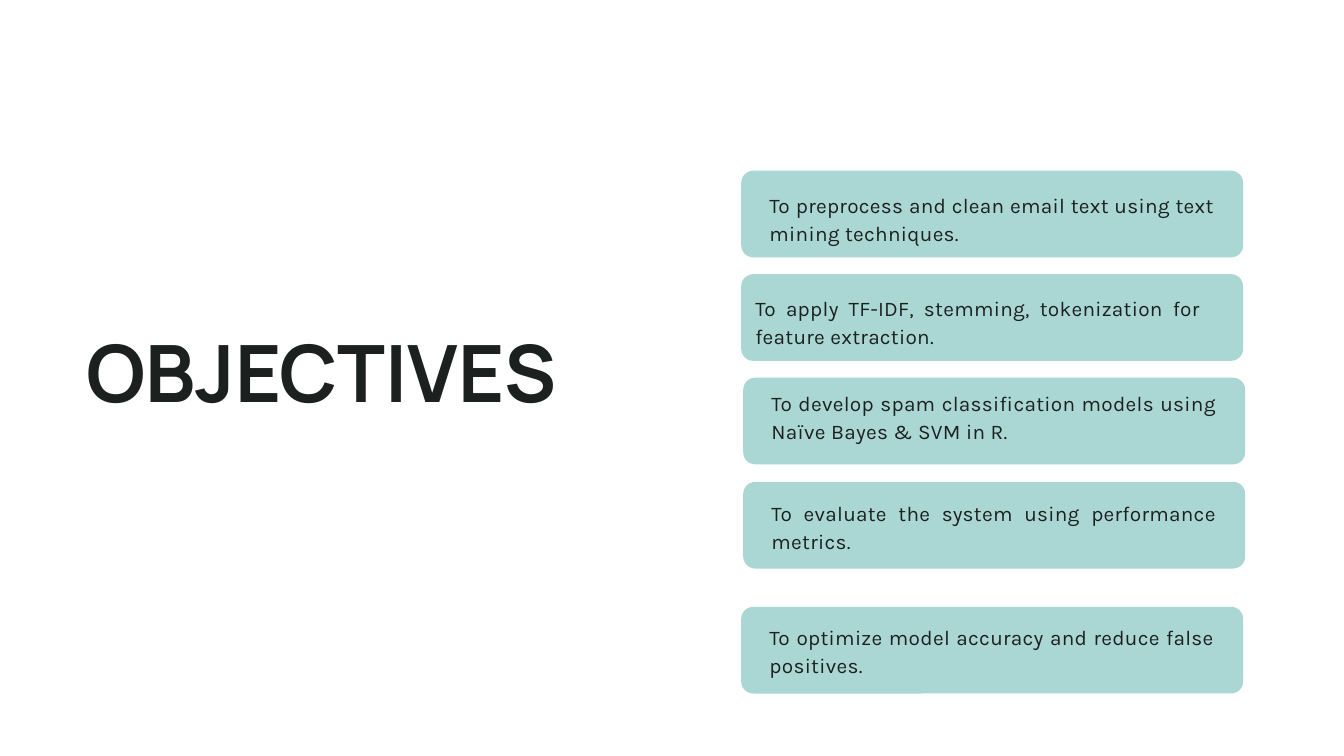
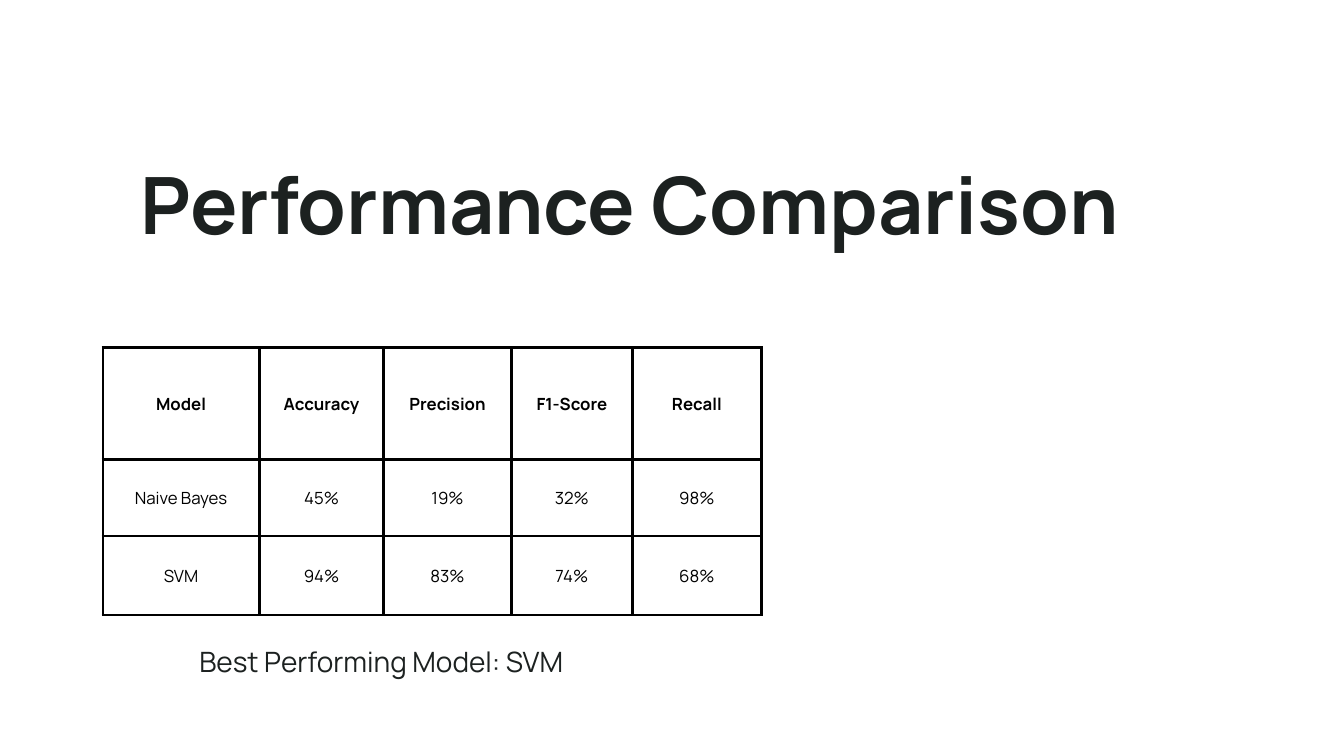
from dataclasses import dataclass

import pptx
import pptx.dml.color
import pptx.enum.shapes
import pptx.enum.text
import pptx.oxml
import pptx.oxml.ns
import pptx.util
from pptx.dml.color import RGBColor
from pptx.util import Inches, Pt

ALIGN = pptx.enum.text.PP_ALIGN
INK = RGBColor(0x1C, 0x21, 0x20)
BLACK = RGBColor(0, 0, 0)
TEAL = RGBColor(0xAA, 0xD7, 0xD4)
WHITE = RGBColor(0xFF, 0xFF, 0xFF)


@dataclass(frozen=True)
class TextStyle:
    """Font, line height and alignment shared by a kind of text."""
    font: str
    size: float
    leading: float
    align: ALIGN = ALIGN.LEFT
    color: RGBColor = INK
    bold: bool = False
    tracking: int = 0


@dataclass(frozen=True)
class Objective:
    """A card and the place of its text."""
    text: str
    left: float
    top: float
    text_left: float
    text_top: float
    text_height: float = 0.83


TITLE = TextStyle("Manrope", 84.7, 96.6, bold=True)
BODY = TextStyle("Karla", 22.3, 30.1, ALIGN.JUSTIFY, tracking=30)
NOTE = TextStyle("Manrope", 30, 34.2, ALIGN.CENTER)
HEADER = TextStyle("Manrope", 18, 25.2, ALIGN.CENTER, BLACK, bold=True)
CELL = TextStyle("Manrope", 18, 25.2, ALIGN.CENTER, BLACK)

CARD_WIDTH, CARD_HEIGHT, CARD_RADIUS = 7.47, 1.29, 0.18
OBJECTIVES = [
    Objective("To preprocess and clean email text using text mining techniques.",
              11.03, 2.54, 11.45, 2.82),
    Objective("To apply TF-IDF, stemming, tokenization for feature extraction.",
              11.03, 4.08, 11.24, 4.36),
    Objective("To develop spam classification models using Naïve Bayes & SVM in R.",
              11.06, 5.62, 11.48, 5.77),
    Objective("To evaluate the system using performance metrics.",
              11.06, 7.17, 11.48, 7.4),
    Objective("To optimize model accuracy and reduce false positives.",
              11.03, 9.03, 11.45, 9.25, 1.24),
]

COLUMN_WIDTHS = [2.33, 1.85, 1.9, 1.8, 1.92]
ROW_HEIGHTS = [1.67, 1.14, 1.17]
SCORES = [
    ["Model", "Accuracy", "Precision", "F1‑Score", "Recall"],
    ["Naive Bayes", "45%", "19%", "32%", "98%"],
    ["SVM", "94%", "83%", "74%", "68%"],
]


def write(tf, text: str, style: TextStyle) -> None:
    """Write one styled paragraph into a text frame."""
    p = tf.paragraphs[0]
    r = p.add_run()
    r.text = text
    p.alignment = style.align
    p.line_spacing = Pt(style.leading)
    p.font.name = style.font
    p.font.size = Pt(style.size)
    p.font.bold = style.bold
    p.font.color.rgb = style.color
    if style.tracking:
        r._r.get_or_add_rPr().set("spc", str(style.tracking))


def add_text(s, text: str, style: TextStyle, left: float, top: float,
             width: float, height: float) -> None:
    """Add a wrapping text box without margins."""
    sp = s.shapes.add_textbox(Inches(left), Inches(top), Inches(width), Inches(height))
    tf = sp.text_frame
    tf.word_wrap = True
    tf.margin_left = tf.margin_top = tf.margin_right = tf.margin_bottom = 0
    write(tf, text, style)


def add_objective(s, item: Objective) -> None:
    """Add a rounded card with its objective."""
    sp = s.shapes.add_shape(
        pptx.enum.shapes.MSO_SHAPE.ROUNDED_RECTANGLE, Inches(item.left),
        Inches(item.top), Inches(CARD_WIDTH), Inches(CARD_HEIGHT))
    sp.adjustments[0] = CARD_RADIUS / CARD_HEIGHT
    sp.shadow.inherit = False
    sp.fill.solid()
    sp.fill.fore_color.rgb = TEAL
    sp.line.fill.background()
    add_text(s, item.text, BODY, item.text_left, item.text_top, 6.62, item.text_height)


def add_borders(cell, color: RGBColor, width: float) -> None:
    """Draw all four borders of a cell."""
    tc_pr = cell._tc.get_or_add_tcPr()
    for i, side in enumerate("LRTB"):
        tc_pr.insert(i, pptx.oxml.parse_xml(
            f'<a:ln{side} {pptx.oxml.ns.nsdecls("a")} w="{Pt(width)}">'
            f'<a:solidFill><a:srgbClr val="{color}"/></a:solidFill></a:ln{side}>'))


def add_scores(s, left: float, top: float) -> None:
    """Add the table of model scores."""
    table = s.shapes.add_table(
        len(SCORES), len(COLUMN_WIDTHS), Inches(left), Inches(top),
        Inches(sum(COLUMN_WIDTHS)), Inches(sum(ROW_HEIGHTS))).table
    table.first_row = table.horz_banding = False
    for column, width in zip(table.columns, COLUMN_WIDTHS):
        column.width = Inches(width)
    for i, (row, height) in enumerate(zip(table.rows, ROW_HEIGHTS)):
        row.height = Inches(height)
        for cell, text in zip(row.cells, SCORES[i]):
            cell.fill.background()
            add_borders(cell, BLACK, 3)
            cell.vertical_anchor = pptx.enum.text.MSO_ANCHOR.MIDDLE
            cell.margin_left = cell.margin_right = Inches(0.21)
            cell.margin_top = cell.margin_bottom = Inches(0.21)
            write(cell.text_frame, text, CELL if i else HEADER)


def add_slide(prs):
    """Add a blank white slide."""
    s = prs.slides.add_slide(prs.slide_layouts[6])
    s.background.fill.solid()
    s.background.fill.fore_color.rgb = WHITE
    return s


def main() -> None:
    """Build and save the slides."""
    prs = pptx.Presentation()
    prs.slide_width, prs.slide_height = Inches(20), Inches(11.25)

    s = add_slide(prs)
    add_text(s, "OBJECTIVES", TITLE, 1.29, 4.88, 9.34, 1.45)
    for item in OBJECTIVES:
        add_objective(s, item)

    s = add_slide(prs)
    add_scores(s, 1.53, 5.17)
    add_text(s, "Performance Comparison", TITLE, 2.09, 2.39, 15.82, 2.78)
    add_text(s, "Best Performing Model: SVM", NOTE, 2.8, 9.62, 5.75, 0.5)

    prs.save("out.pptx")


if __name__ == "__main__":
    main()
